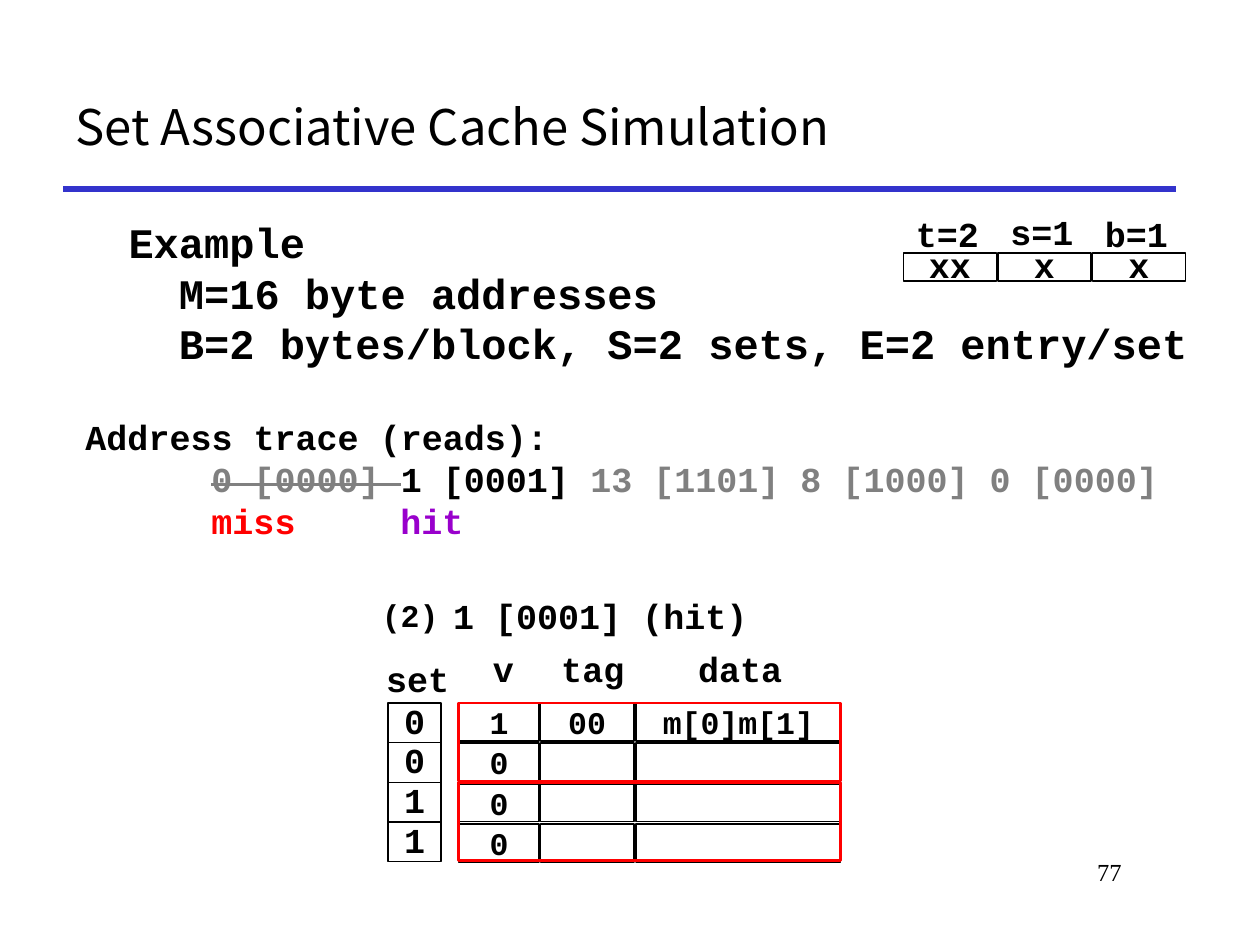
from dataclasses import dataclass

from lxml import etree
from pptx import Presentation
from pptx.dml.color import RGBColor
from pptx.enum.shapes import MSO_CONNECTOR, MSO_SHAPE
from pptx.enum.text import MSO_ANCHOR, MSO_AUTO_SIZE, PP_ALIGN
from pptx.oxml.ns import qn
from pptx.util import Inches, Pt

LINE, RECT = MSO_CONNECTOR.STRAIGHT, MSO_SHAPE.RECTANGLE
TOP, MIDDLE = MSO_ANCHOR.TOP, MSO_ANCHOR.MIDDLE
LEFT, CENTER, RIGHT = PP_ALIGN.LEFT, PP_ALIGN.CENTER, PP_ALIGN.RIGHT
NO_FIT = MSO_AUTO_SIZE.NONE


@dataclass(frozen=True)
class Theme:
    black: str = "000000"
    white: str = "FFFFFF"
    rule: str = "3333CC"
    faded: str = "808080"
    red: str = "FF0000"
    hit: str = "9900CC"
    mono: str = "Courier New"
    title_font: str = "Noto Sans CJK KR"
    number_font: str = "Times New Roman"
    title: int = 28
    body: int = 24
    label: int = 20
    cell: int = 18
    number: int = 14


@dataclass(frozen=True)
class Box:
    x: float
    y: float
    w: float
    h: float

    def inches(self) -> list:
        return [Inches(v) for v in (self.x, self.y, self.w, self.h)]


@dataclass(frozen=True)
class Label:
    text: str
    box: Box
    size: int


T = Theme()


def rgb(color: str) -> RGBColor:
    return RGBColor.from_string(color)


def style(r, size: int, color: str = T.black, font: str = T.mono, bold: bool = True) -> None:
    r.font.size, r.font.name, r.font.bold = Pt(size), font, bold
    r.font.color.rgb = rgb(color)


def place(sp, box: Box) -> None:
    sp.left, sp.top, sp.width, sp.height = box.inches()


def add_label(s, label: Label) -> None:
    tf = s.shapes.add_textbox(*label.box.inches()).text_frame
    tf.word_wrap = False
    tf.text = label.text
    p = tf.paragraphs[0]
    p.alignment = CENTER
    style(p.runs[0], label.size)


def add_rect(s, box: Box, line: str, width: float, fill: str = "",
             text: str = "", size: int = T.cell, lift: float = 0) -> None:
    sp = s.shapes.add_shape(RECT, *box.inches())
    sp.shadow.inherit = False
    sp.line.color.rgb, sp.line.width = rgb(line), Pt(width)
    if fill:
        sp.fill.solid()
        sp.fill.fore_color.rgb = rgb(fill)
    else:
        sp.fill.background()
    if text:
        tf = sp.text_frame
        tf.word_wrap, tf.vertical_anchor = False, MIDDLE
        tf.margin_top, tf.margin_bottom = 0, Inches(lift)
        tf.text = text
        tf.paragraphs[0].alignment = CENTER
        style(tf.paragraphs[0].runs[0], size)


def add_line(s, x1: float, x2: float, y: float, color: str, width: float) -> None:
    line = s.shapes.add_connector(LINE, Inches(x1), Inches(y), Inches(x2), Inches(y))
    line.line.color.rgb, line.line.width = rgb(color), Pt(width)
    etree.SubElement(line._element.spPr, qn("a:effectLst"))


def add_heading(s) -> None:
    add_line(s, 0.5, 9.33, 1.5, T.rule, 3)
    sp = s.shapes.title
    place(sp, Box(0.5, 0.5, 8.83, 1))
    tf = sp.text_frame
    tf.text = "Set Associative Cache Simulation"
    tf.auto_size, tf.vertical_anchor = NO_FIT, MIDDLE
    tf.paragraphs[0].alignment = LEFT
    style(tf.paragraphs[0].runs[0], T.title, font=T.title_font, bold=False)


def add_body(s) -> None:
    sp = s.placeholders[1]
    place(sp, Box(0.92, 1.67, 8.67, 1.33))
    tf = sp.text_frame
    tf.text = "Example\nM=16 byte addresses\nB=2 bytes/block, S=2 sets, E=2 entry/set"
    tf.auto_size, tf.vertical_anchor = NO_FIT, TOP
    for i, p in enumerate(tf.paragraphs):
        pPr = p._p.get_or_add_pPr()
        pPr.set("marL", str(Inches(0.4) if i else 0))
        pPr.set("indent", "0")
        p.space_before = Pt(0)
        etree.SubElement(pPr, qn("a:buNone"))
        style(p.runs[0], T.body)


def add_trace(s) -> None:
    lines = [
        [("Address trace (reads):", T.black)],
        [("\t", T.black), ("0 [0000] ", T.faded), ("1 [0001] ", T.black),
         ("13 [1101] 8 [1000] 0 [0000]", T.faded)],
        [("\tmiss", T.red), ("\thit", T.hit)],
    ]
    tf = s.shapes.add_textbox(*Box(0.58, 3.25, 9.08, 1.11).inches()).text_frame
    tf.word_wrap = True
    for i, parts in enumerate(lines):
        p = tf.add_paragraph() if i else tf.paragraphs[0]
        if i:
            tabs = etree.SubElement(p._p.get_or_add_pPr(), qn("a:tabLst"))
            for stop in (1, 2.5):
                etree.SubElement(tabs, qn("a:tab"), pos=str(Inches(stop)), algn="l")
        for text, color in parts:
            r = p.add_run()
            r.text = text
            style(r, T.label, color)
            if text.startswith("0 "):  # address already read
                r.font._element.set("strike", "sngStrike")


def add_address_fields(s) -> None:
    for i, (name, bits) in enumerate((("t=2", "xx"), ("s=1", "x"), ("b=1", "x"))):
        x = 7.17 + 0.75 * i
        add_rect(s, Box(x, 2.01, 0.74, 0.22), T.black, 1, T.white, bits, T.label, lift=0.05)
        add_label(s, Label(name, Box(x, 1.62 if i == 1 else 1.64, 0.7, 0.43), T.label))


def add_cache(s) -> None:
    top, pitch = 5.58, 0.32
    columns = ((3.64, 0.64), (4.29, 0.74), (5.05, 1.62))
    rows = (("1", "00", "m[0]m[1]"),) + (("0", "", ""),) * 3
    # Valid, tag and data cells
    for i, row in enumerate(rows):
        for (x, w), text in zip(columns, row):
            add_rect(s, Box(x, top + pitch * i, w, 0.3), T.black, 1, T.white, text)
    # Outline of each set
    for y in (5.58, 6.21):
        add_rect(s, Box(3.64, y, 3.03, 0.62), T.red, 1.5)
    # Set index column
    add_rect(s, Box(3.08, top, 0.42, 1.26), T.black, 0.75)
    for i, index in enumerate("0011"):
        y = top + 0.315 * i
        if i:
            add_line(s, 3.08, 3.5, y, T.black, 0.75)
        add_label(s, Label(index, Box(3.08, y - 0.08, 0.42, 0.42), T.label))
    # Step caption and column headings
    for label in (
        Label("(2)", Box(2.93, 4.68, 0.65, 0.4), T.cell),
        Label("1 [0001] (hit)", Box(3.4, 4.67, 2.73, 0.43), T.label),
        Label("set", Box(2.96, 5.17, 0.71, 0.44), T.label),
        Label("v", Box(3.81, 5.09, 0.37, 0.43), T.label),
        Label("tag", Box(4.35, 5.09, 0.71, 0.43), T.label),
        Label("data", Box(5.44, 5.09, 0.87, 0.43), T.label),
    ):
        add_label(s, label)


def add_page_number(s) -> None:
    tf = s.shapes.add_textbox(*Box(7.58, 6.75, 1.42, 0.5).inches()).text_frame
    tf.word_wrap = True
    tf.text = "77"
    tf.paragraphs[0].alignment = RIGHT
    style(tf.paragraphs[0].runs[0], T.number, font=T.number_font, bold=False)


def main() -> None:
    prs = Presentation()
    prs.slide_width, prs.slide_height = Inches(10), Inches(7.5)
    s = prs.slides.add_slide(prs.slide_layouts[1])
    for draw in (add_heading, add_body, add_trace, add_cache, add_address_fields, add_page_number):
        draw(s)
    prs.save("out.pptx")


if __name__ == "__main__":
    main()
